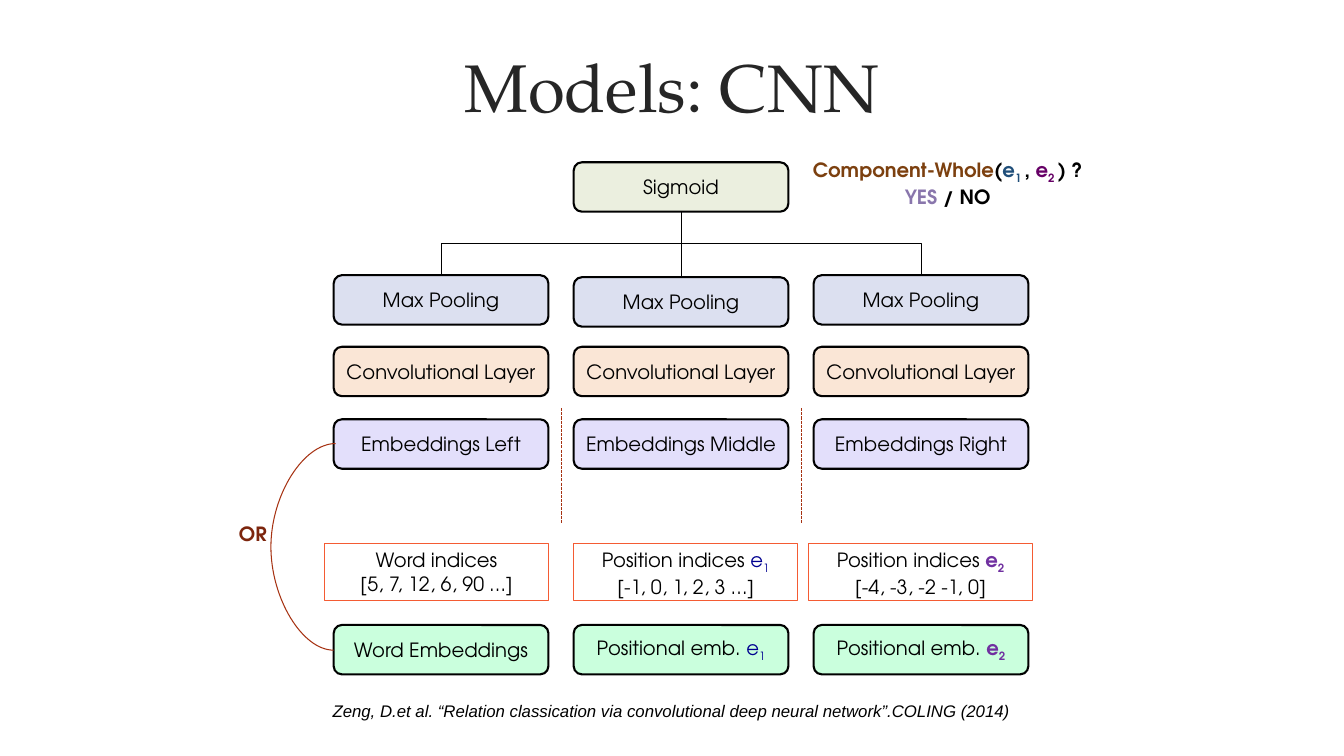
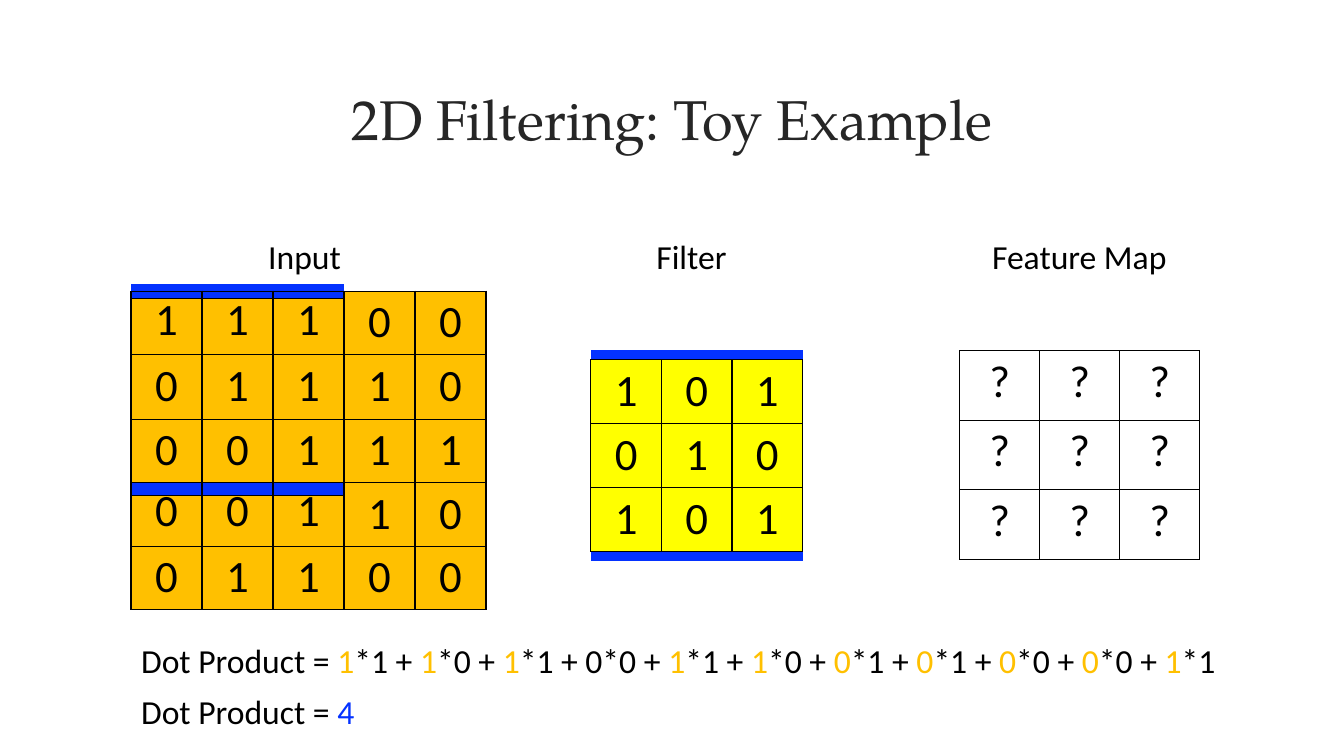
"""Build two slides: a CNN architecture diagram and a toy example of 2D filtering."""
from lxml import etree
from pptx import Presentation
from pptx.dml.color import RGBColor
from pptx.enum.dml import MSO_LINE
from pptx.enum.shapes import MSO_CONNECTOR as Connector, MSO_SHAPE as Preset
from pptx.enum.text import MSO_ANCHOR as Anchor, MSO_AUTO_SIZE as AutoSize, PP_ALIGN as Align
from pptx.oxml.ns import qn
from pptx.util import Inches, Pt

BLACK, BROWN, BLUE, ORANGE, YELLOW = "000000", "A63212", "0432FF", "FFC000", "FFFF00"
TITLE_COLOR, INDEX_LINE = "262626", "F45B33"
TITLE_FONT, DIAGRAM_FONT, CITATION_FONT, TOY_FONT = (
    "TeX Gyre Pagella", "TeX Gyre Adventor", "Arial", "Calibri")

ENTITY_1 = [("e", {"color": "000090"}), ("1", {"color": "000090", "subscript": True})]
ENTITY_2 = [("e", {"color": "7030A0", "bold": True}),
            ("2", {"color": "7030A0", "bold": True, "subscript": True})]

COLUMN_LEFTS = (3.31, 5.69, 8.07)
BOX_WIDTH, BOX_HEIGHT = 2.13, 0.49
LAYERS = [
    ("EBEFDF", (None, 1.61, None), (None, "Sigmoid", None)),
    ("DCE0F0", (2.73, 2.75, 2.73), ("Max Pooling",) * 3),
    ("FAE6D6", (3.44,) * 3, ("Convolutional Layer",) * 3),
    ("E3DFFB", (4.16,) * 3, ("Embeddings Left", "Embeddings Middle", "Embeddings Right")),
    ("CAFFDD", (6.2,) * 3, ("Word Embeddings", ["Positional emb. ", *ENTITY_1],
                            ["Positional emb. ", *ENTITY_2])),
]
INDEX_BOXES = [
    (3.22, ["Word indices", "[5, 7, 12, 6, 90 …]"]),
    (5.69, [["Position indices ", *ENTITY_1], "[-1, 0, 1, 2, 3 …]"]),
    (8.02, [["Position indices ", *ENTITY_2], "[-4, -3, -2 -1, 0]"]),
]
QUESTION = [
    [("Component-Whole", {"color": "7C400F"}), "(", ("e", {"color": "1F4E79"}),
     ("1 ", {"color": "1F4E79", "subscript": True}), ", ", ("e", {"color": "660066"}),
     ("2 ", {"color": "660066", "subscript": True}), ") ? "],
    [("YES", {"color": "8976AC"}), " / NO"],
]
CITATION = "Zeng, D.et al. “Relation classication via convolutional deep neural network”.COLING (2014)"

STRIP, BLANK, MERGED = "b", ".", "^"
INPUT_ROWS = [(0.07, "bbb.."), (0.07, "bbb00"), (0.56, "111^^"), (0.64, "01110"),
              (0.63, "00111"), (0.13, "bbb10"), (0.5, "001^^"), (0.63, "01100")]
FILTER_ROWS = [(0.1, "bbb"), (0.63, "101"), (0.64, "010"), (0.63, "101"), (0.1, "bbb")]
MAP_ROWS = [(0.69, "???")] * 3
GRIDS = [
    (1.3, 2.82, 3.52, INPUT_ROWS, ORANGE, {0: "B"}),
    (5.86, 3.47, 2.1, FILTER_ROWS, YELLOW, {0: "B", 4: "T"}),
    (9.52, 3.48, 2.38, MAP_ROWS, None, {}),
]
TIGHT_LINES = {0.56: 34.9, 0.5: 30.6}
GRID_LABELS = [(2.66, 0.75, "Input"), (6.51, 0.72, "Filter"), (9.84, 1.76, "Feature Map")]
PRODUCTS = "1*1 1*0 1*1 0*0 1*1 1*0 0*1 0*1 0*0 0*0 1*1".split()
PLAIN_PRODUCT = 3


def rgb(color):
    """Turn a hex string into a colour."""
    return RGBColor.from_string(color)


def box_of(left, top, width, height):
    """Turn four numbers into lengths."""
    return [Inches(value) for value in (left, top, width, height)]


def write_text(frame, paragraphs, size=14, font=DIAGRAM_FONT, color=BLACK, bold=False,
               italic=False, align=Align.CENTER, anchor=Anchor.TOP, margins=None,
               wrap=True, line_spacing=None):
    """Write paragraphs, each a string or a list of runs, with one format."""
    frame.word_wrap = wrap
    frame.auto_size = AutoSize.NONE
    frame.vertical_anchor = anchor
    if margins:
        (frame.margin_left, frame.margin_top,
         frame.margin_right, frame.margin_bottom) = box_of(*margins)
    for index, content in enumerate(paragraphs):
        paragraph = frame.add_paragraph() if index else frame.paragraphs[0]
        paragraph.alignment = align
        if line_spacing:
            paragraph.line_spacing = line_spacing
        for piece in [content] if isinstance(content, str) else content:
            text, options = (piece, {}) if isinstance(piece, str) else piece
            run = paragraph.add_run()
            run.text = text
            run.font.size, run.font.name = Pt(size), font
            run.font.bold, run.font.italic = options.get("bold", bold), italic
            run.font.color.rgb = rgb(options.get("color", color))
            if options.get("subscript"):
                run.font._element.set("baseline", "-25000")


def add_text(slide, box, paragraphs, **options):
    """Add a text box."""
    write_text(slide.shapes.add_textbox(*box_of(*box)).text_frame, paragraphs, **options)


def add_title(slide, box, text, size):
    """Fill and place the title placeholder."""
    title = slide.shapes.title
    title.left, title.top, title.width, title.height = box_of(*box)
    write_text(title.text_frame, [text], size=size, font=TITLE_FONT, color=TITLE_COLOR,
               anchor=Anchor.MIDDLE)


def add_box(slide, preset, box, paragraphs, fill=None, line=BLACK, line_width=1.5,
            anchor=Anchor.MIDDLE):
    """Add an outlined box with centred text."""
    shape = slide.shapes.add_shape(preset, *box_of(*box))
    shape.shadow.inherit = False
    if fill:
        shape.fill.solid()
        shape.fill.fore_color.rgb = rgb(fill)
    else:
        shape.fill.background()
    shape.line.color.rgb = rgb(line)
    shape.line.width = Pt(line_width)
    write_text(shape.text_frame, paragraphs, anchor=anchor)
    return shape


def add_line(slide, kind, start, end, color=BLACK, dash=None):
    """Add a thin connector without a shadow."""
    connector = slide.shapes.add_connector(kind, *box_of(*start, *end))
    connector.line.color.rgb = rgb(color)
    connector.line.width = Pt(0.75)
    if dash:
        connector.line.dash_style = dash
    etree.SubElement(connector._element.spPr, qn("a:effectLst"))
    return connector


def add_vertical_elbow(slide, start, end):
    """Add an elbow that leaves upwards, as a horizontal elbow turned a quarter."""
    center_x, center_y = (start[0] + end[0]) / 2, (start[1] + end[1]) / 2
    half_width, half_height = (start[1] - end[1]) / 2, abs(end[0] - start[0]) / 2
    side = 1 if end[0] > start[0] else -1
    connector = add_line(slide, Connector.ELBOW,
                         (center_x + side * half_width, center_y + half_height),
                         (center_x - side * half_width, center_y - half_height))
    connector._element.spPr.xfrm.set("rot", str((90 if side > 0 else 270) * 60000))


def set_borders(cell, sides):
    """Draw the named sides of a cell in black and hide the others."""
    properties = cell._tc.get_or_add_tcPr()
    for side in "LRTB":
        line = etree.SubElement(properties, qn(f"a:ln{side}"), w=str(Pt(1)))
        if side in sides:
            solid = etree.SubElement(line, qn("a:solidFill"))
            etree.SubElement(solid, qn("a:srgbClr"), val=BLACK)
        else:
            etree.SubElement(line, qn("a:noFill"))


def fill_cell(cell, symbol, height, fill, sides):
    """Give a grid cell its borders, fill and symbol."""
    set_borders(cell, sides)
    color = {STRIP: BLUE, BLANK: None}.get(symbol, fill)
    if color:
        cell.fill.solid()
        cell.fill.fore_color.rgb = rgb(color)
    else:
        cell.fill.background()
    tight = TIGHT_LINES.get(height)
    cell.margin_left = cell.margin_right = cell.margin_bottom = 0
    is_value = symbol not in (STRIP, BLANK, MERGED)
    cell.margin_top = Inches(0.04 if is_value and not tight else 0)
    paragraph = cell.text_frame.paragraphs[0]
    if not is_value:
        paragraph._p.get_or_add_endParaRPr().set("sz", "100")
        return
    paragraph.alignment = Align.CENTER
    if tight:
        paragraph.line_spacing = Pt(tight)
    run = paragraph.add_run()
    run.text = symbol
    run.font.size, run.font.name = Pt(32), TOY_FONT
    run.font.color.rgb = rgb(BLACK)


def add_grid(slide, left, top, width, rows, fill, edge_sides):
    """Add a table of single symbols, merging cells marked as continued."""
    column_count = len(rows[0][1])
    total = sum(height for height, _ in rows)
    table = slide.shapes.add_table(len(rows), column_count,
                                   *box_of(left, top, width, total)).table
    table.first_row = table.horz_banding = False
    for column in table.columns:
        column.width = Inches(width / column_count)
    for row, (height, symbols) in enumerate(rows):
        table.rows[row].height = Inches(height)
        for column, symbol in enumerate(symbols):
            cell = table.cell(row, column)
            fill_cell(cell, symbol, height, fill, edge_sides.get(row, "LRTB"))
            if symbol == MERGED:
                table.cell(row - 1, column).merge(cell)
        if BLANK in symbols:
            table.cell(row, symbols.index(BLANK)).merge(table.cell(row, symbols.rindex(BLANK)))


def build_model_slide(slide):
    """Draw the layers of the network."""
    add_title(slide, (2.27, 0.2, 8.79, 1.3), "Models: CNN", 48)
    boxes = {}
    for layer, (fill, tops, texts) in enumerate(LAYERS):
        for column, (left, top, text) in enumerate(zip(COLUMN_LEFTS, tops, texts)):
            if text:
                boxes[layer, column] = add_box(slide, Preset.ROUNDED_RECTANGLE,
                                               (left, top, BOX_WIDTH, BOX_HEIGHT), [text], fill)
    centers = [left + BOX_WIDTH / 2 for left in COLUMN_LEFTS]
    sigmoid_bottom = (centers[1], LAYERS[0][1][1] + BOX_HEIGHT)
    pooling_tops = list(zip(centers, LAYERS[1][1]))
    for column in (0, 2):
        add_vertical_elbow(slide, pooling_tops[column], sigmoid_bottom)
    stem = add_line(slide, Connector.STRAIGHT, pooling_tops[1], sigmoid_bottom)
    stem.begin_connect(boxes[1, 1], 0)
    stem.end_connect(boxes[0, 1], 2)
    for left, paragraphs in INDEX_BOXES:
        add_box(slide, Preset.RECTANGLE, (left, 5.39, 2.22, 0.57), paragraphs,
                line=INDEX_LINE, line_width=0.75, anchor=Anchor.TOP)
    for x in (5.57, 7.95):
        add_line(slide, Connector.STRAIGHT, (x, 4.05), (x, 5.19), BROWN, MSO_LINE.SQUARE_DOT)
    curve = add_line(slide, Connector.CURVE, (3.33, 4.4), (3.31, 6.45), BROWN)
    guides = curve._element.spPr.find(qn("a:prstGeom")).find(qn("a:avLst"))
    etree.SubElement(guides, qn("a:gd"), name="adj1", fmla="val 3200000")
    add_text(slide, (2.27, 5.13, 0.48, 0.34), ["OR"], color="7C250D", bold=True,
             align=Align.LEFT, wrap=False)
    add_text(slide, (7.95, 1.52, 2.9, 0.81), QUESTION, bold=True)
    add_text(slide, (3.2, 6.9, 7, 0.3), [CITATION], size=12, font=CITATION_FONT,
             italic=True, align=Align.LEFT)


def build_filter_slide(slide):
    """Draw the input, the filter, the feature map and the dot product."""
    add_title(slide, (0.8, 0.38, 11.73, 1.58), "2D Filtering: Toy Example", 40)
    toy_format = {"size": 24, "font": TOY_FONT, "align": Align.LEFT, "margins": (0, 0.02, 0, 0)}
    for left, width, label in GRID_LABELS:
        add_text(slide, (left, 2.32, width, 0.43), [label], wrap=False, **toy_format)
    for grid in GRIDS:
        add_grid(slide, *grid)
    runs = ["Dot Product = "]
    for index, product in enumerate(PRODUCTS):
        color = BLACK if index == PLAIN_PRODUCT else ORANGE
        separator = " + " if index < len(PRODUCTS) - 1 else ""
        runs += [(product[0], {"color": color}), product[1:] + separator]
    result = ["Dot Product = ", ("4", {"color": BLUE})]
    add_text(slide, (1.4, 6.23, 10.9, 1.03), [runs, result], line_spacing=1.25, **toy_format)


def main():
    """Build and save the presentation."""
    presentation = Presentation()
    presentation.slide_width, presentation.slide_height = Inches(13.33), Inches(7.5)
    title_only = presentation.slide_layouts[5]
    for build in (build_model_slide, build_filter_slide):
        build(presentation.slides.add_slide(title_only))
    presentation.save("out.pptx")


if __name__ == "__main__":
    main()
